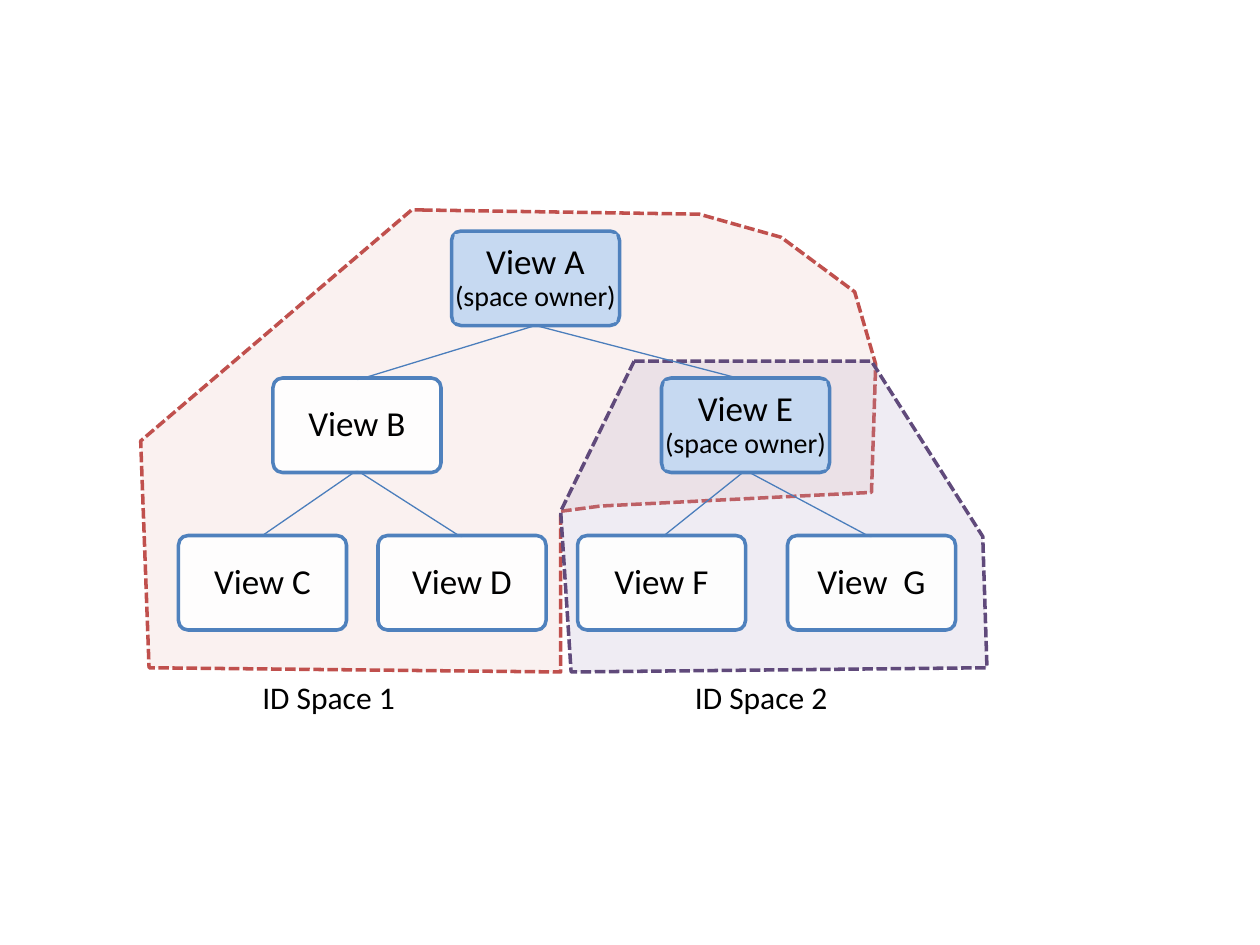
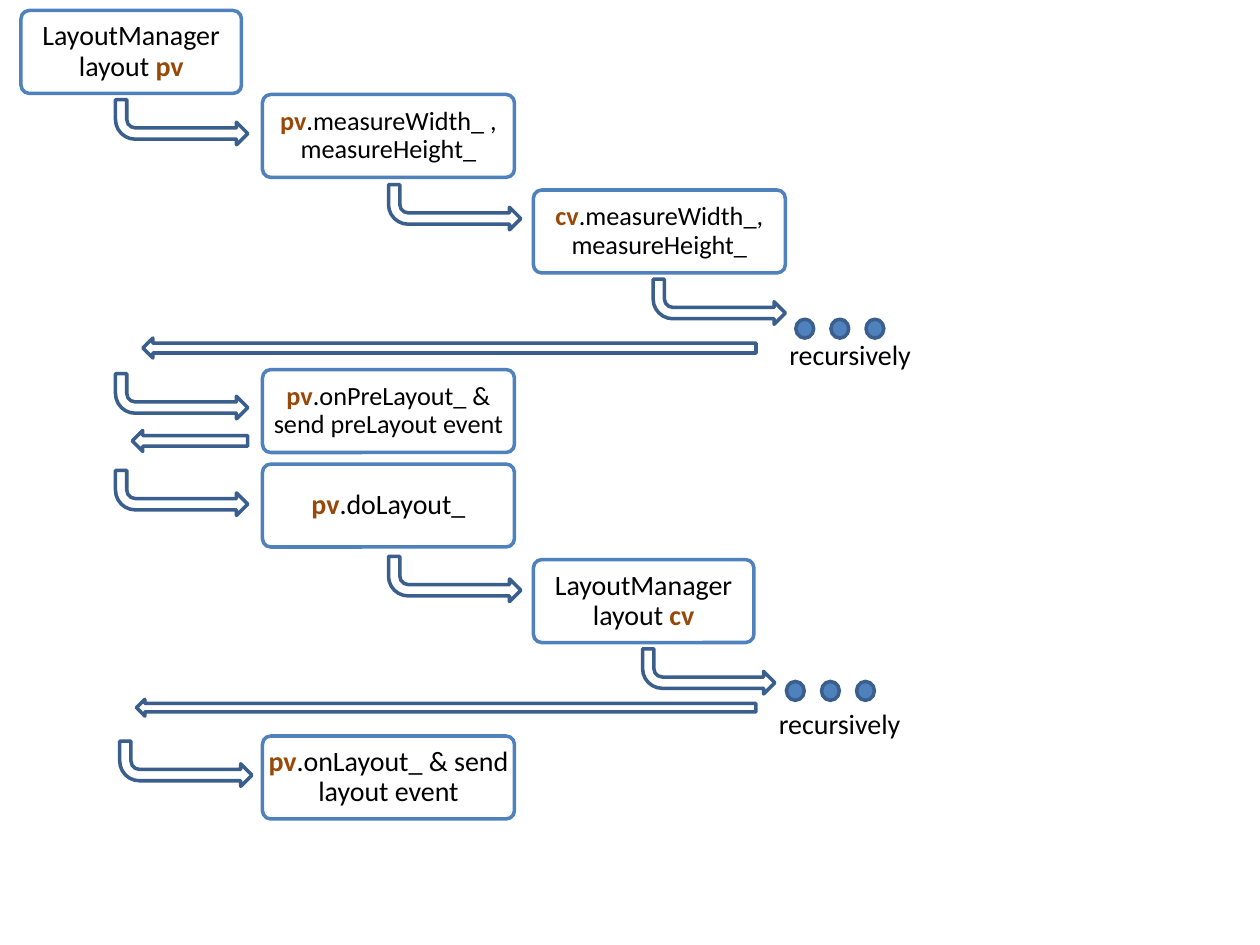
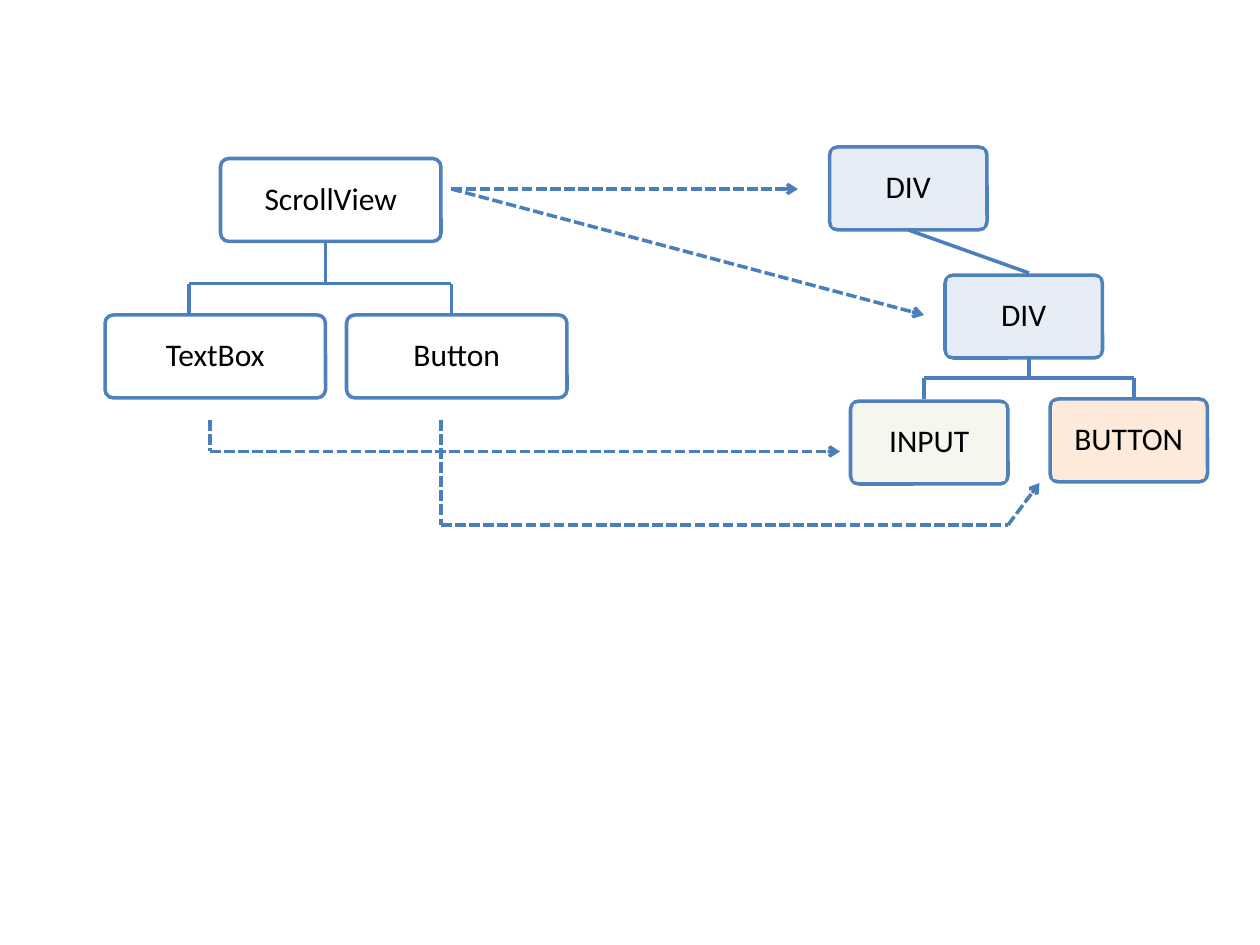
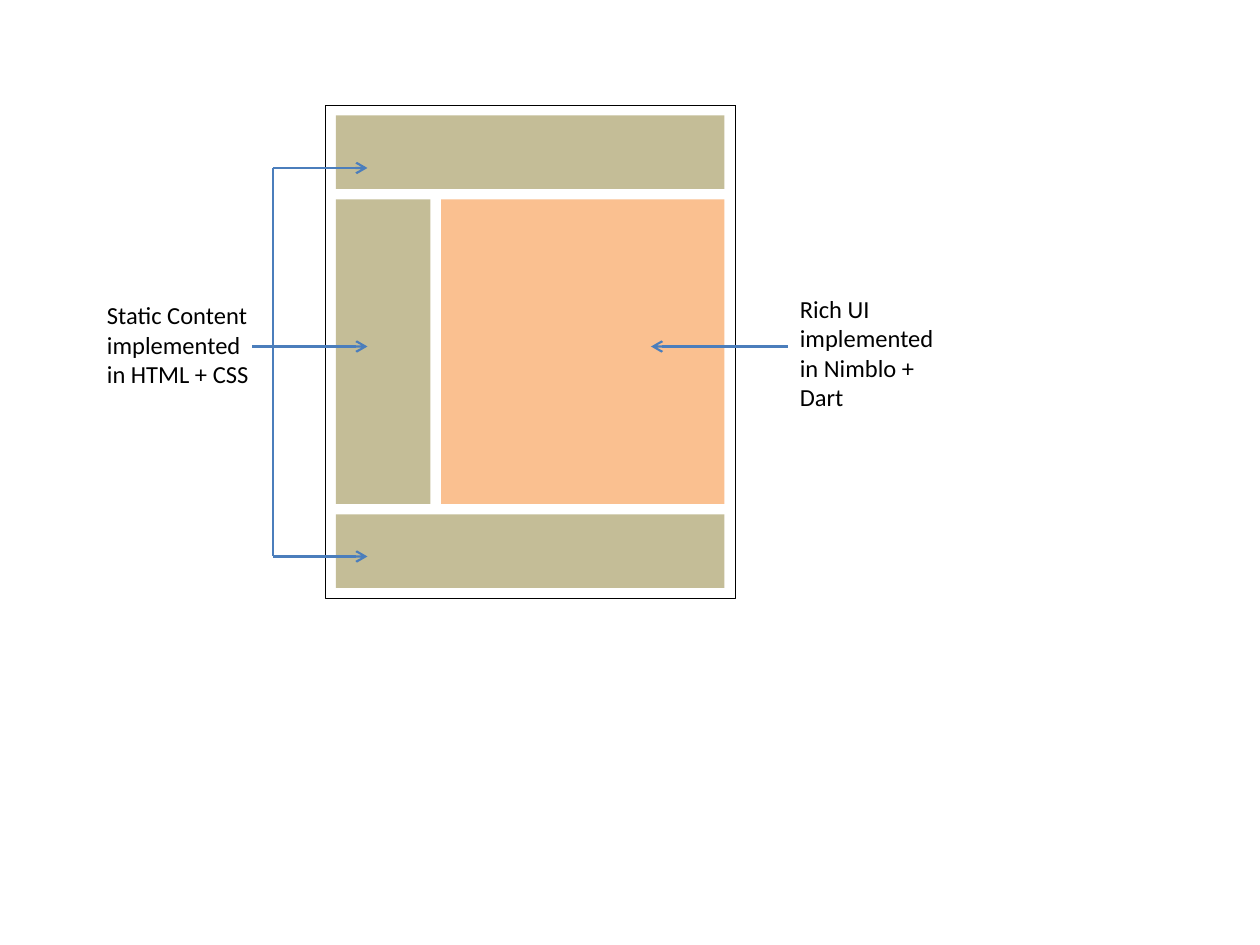
import dataclasses
import typing

import lxml.etree
import pptx
import pptx.dml.color
import pptx.enum.dml
import pptx.enum.shapes
import pptx.enum.text
import pptx.oxml.ns
import pptx.util

# Shared look; all lengths are cells of a 120 by 90 grid
FONT = "Calibri"
BLACK, WHITE = "000000", "FFFFFF"
EDGE, LINK, ARROW_EDGE, ACCENT = "4F81BD", "4B7EBC", "3A5F8C", "984807"
OWNER, PALE_BLUE, PALE_GREEN, PALE_ORANGE = "C6D9F1", "E6EDF6", "F6F5EE", "FDEADA"
STATIC, RICH = "C4BD97", "FAC090"
COLUMNS = 120
LABEL_INSET = 0.3
BOX_HEIGHT = 7.9

SHAPE = pptx.enum.shapes.MSO_SHAPE
DASH = pptx.enum.dml.MSO_LINE.SQUARE_DOT
DOT = pptx.enum.dml.MSO_LINE.ROUND_DOT
Point = tuple[float, float]

deck = pptx.Presentation()
deck.slide_width = pptx.util.Inches(10)
deck.slide_height = pptx.util.Inches(7.5)


@dataclasses.dataclass
class Span:
    text: str
    size: float
    color: str = BLACK
    bold: bool = False
    new_line: bool = False


@dataclasses.dataclass
class Box:
    left: float
    top: float
    width: float
    height: float
    spans: list[Span]
    fill: str = WHITE


@dataclasses.dataclass
class Region:
    points: list[Point]
    fill: str
    edge: str


def cells(*counts: float) -> list[int]:
    return [round(count * deck.slide_width / COLUMNS) for count in counts]


def rgb(color: str) -> pptx.dml.color.RGBColor:
    return pptx.dml.color.RGBColor.from_string(color)


def new_page() -> typing.Any:
    return deck.slides.add_slide(deck.slide_layouts[6])


def paint(shape: typing.Any, color: str, opacity: int = 100) -> None:
    shape.fill.solid()
    shape.fill.fore_color.rgb = rgb(color)
    if opacity < 100:
        tone = shape.fill._xPr.find(".//" + pptx.oxml.ns.qn("a:srgbClr"))
        alpha = lxml.etree.SubElement(tone, pptx.oxml.ns.qn("a:alpha"))
        alpha.set("val", str(opacity * 1000))


def outline(shape: typing.Any, color: str, width: float, dash: typing.Any = None) -> None:
    shape.line.color.rgb = rgb(color)
    shape.line.width = pptx.util.Pt(width)
    if dash is not None:
        shape.line.dash_style = dash


def style_span(span: typing.Any, size: float, color: str = BLACK, bold: bool = False) -> None:
    span.font.name = FONT
    span.font.size = pptx.util.Pt(size)
    span.font.color.rgb = rgb(color)
    span.font.bold = bold


def add_preset(parent: typing.Any, kind: typing.Any, left: float, top: float,
               width: float, height: float) -> typing.Any:
    shape = parent.shapes.add_shape(kind, *cells(left, top, width, height))
    shape.shadow.inherit = False
    shape.fill.background()
    shape.line.fill.background()
    return shape


def add_box(page: typing.Any, box: Box) -> None:
    """A rounded frame grouped with its centred label."""
    group = page.shapes.add_group_shape()
    frame = add_preset(group, SHAPE.ROUNDED_RECTANGLE, box.left, box.top, box.width, box.height)
    frame.adjustments[0] = 0.1
    paint(frame, box.fill, 90 if box.fill == WHITE else 100)
    outline(frame, EDGE, 2)

    label = group.shapes.add_textbox(*cells(
        box.left + LABEL_INSET, box.top + LABEL_INSET,
        box.width - 2 * LABEL_INSET, box.height - 2 * LABEL_INSET))
    if box.fill != WHITE:
        paint(label, box.fill)
    text = label.text_frame
    text.word_wrap = True
    text.vertical_anchor = pptx.enum.text.MSO_ANCHOR.MIDDLE
    text.margin_left = text.margin_right = 0
    text.margin_top = text.margin_bottom = pptx.util.Inches(0.1)
    para = text.paragraphs[0]
    para.alignment = pptx.enum.text.PP_ALIGN.CENTER
    para.line_spacing = 0.9
    for span in box.spans:
        if span.new_line:
            para.add_line_break()
        run = para.add_run()
        run.text = span.text
        style_span(run, span.size, span.color, span.bold)


def add_caption(page: typing.Any, text: str, left: float, top: float,
                width: float, height: float, size: float) -> None:
    caption = page.shapes.add_textbox(*cells(left, top, width, height))
    caption.text_frame.word_wrap = False
    caption.text_frame.auto_size = pptx.enum.text.MSO_AUTO_SIZE.SHAPE_TO_FIT_TEXT
    para = caption.text_frame.paragraphs[0]
    para.text = text
    for span in para.runs:
        style_span(span, size)


def add_line(page: typing.Any, start: Point, end: Point, width: float,
             dash: typing.Any = None, arrow: bool = False) -> None:
    line = page.shapes.add_connector(
        pptx.enum.shapes.MSO_CONNECTOR.STRAIGHT, *cells(*start, *end))
    outline(line, LINK, width, dash)
    if arrow:
        tail = lxml.etree.SubElement(line.line._get_or_add_ln(), pptx.oxml.ns.qn("a:tailEnd"))
        tail.set("type", "arrow")
    lxml.etree.SubElement(line._element.spPr, pptx.oxml.ns.qn("a:effectLst"))


def add_region(page: typing.Any, region: Region) -> None:
    first, *others = [cells(*point) for point in region.points]
    builder = page.shapes.build_freeform(*first)
    builder.add_line_segments(others, close=True)
    shape = builder.convert_to_shape()
    shape.shadow.inherit = False
    paint(shape, region.fill, 20)
    outline(shape, region.edge, 2, DASH)


def add_fork(page: typing.Any, stem: Point, bar: float,
             children: Point, bottom: float) -> None:
    """A stem down to a bar, with a branch from each end of the bar."""
    for child in children:
        add_line(page, (child, bottom), (child, bar), 2)
    add_line(page, (stem[0], bar), stem, 2)
    add_line(page, (children[0], bar), (children[1], bar), 2)


def add_call_arrow(page: typing.Any, left: float, top: float) -> None:
    arrow = add_preset(page, SHAPE.BENT_ARROW, left, top, 12.6, 4.3)
    arrow._element.spPr.find(pptx.oxml.ns.qn("a:xfrm")).set("flipV", "1")
    outline(arrow, ARROW_EDGE, 2)


def add_recursion(page: typing.Any, left: float, top: float, caption: Point) -> None:
    """Three dots and the word below them."""
    for index in range(3):
        dot = add_preset(page, SHAPE.OVAL, left + index * 3.34, top, 1.7, 1.8)
        paint(dot, EDGE)
        outline(dot, ARROW_EDGE, 2)
    add_caption(page, "recursively", *caption, 14.2, 4.4, 16)


def draw_id_spaces() -> None:
    page = new_page()
    regions = [
        Region([(40.2, 20), (66.6, 20.4), (74.4, 22.6), (81.4, 27.8), (83.4, 34.7),
                (83, 46.9), (57.2, 48.2), (53.4, 48.7), (53.4, 64), (14.2, 63.6),
                (13.4, 42), (39.2, 20)], "E6B9B8", "C0504D"),
        Region([(60.4, 34.4), (83, 34.4), (93.6, 51.1), (94, 63.6), (54.4, 64),
                (53.4, 48.7)], "B3A2C7", "604A7B"),
    ]
    for region in regions:
        add_region(page, region)

    # Parent's lower middle, then the upper middles of its children
    branches = [((34, 44.8), (25, 36.5 + 14.5), (44, 51.2)),
                ((71, 44.8), (63, 51.2), (83, 51.2)),
                ((51, 31), (34, 36.2), (71, 36.2))]
    for parent, *children in branches:
        for child in children:
            add_line(page, parent, child, 0.75)

    views = [("View A", 43, 22, True), ("View B", 26, 36, False), ("View E", 63, 36, True),
             ("View C", 17, 51, False), ("View D", 36, 51, False),
             ("View F", 55, 51, False), ("View  G", 75, 51, False)]
    for name, left, top, owner in views:
        spans = [Span(name, 20)]
        if owner:
            spans.append(Span("(space owner)", 16, new_line=True))
        add_box(page, Box(left, top, 16, 9, spans, OWNER if owner else WHITE))

    for text, left in (("ID Space 1", 23.8), ("ID Space 2", 65)):
        add_caption(page, text, left, 64, 15.2, 4.8, 18)


def draw_layout_calls() -> None:
    page = new_page()

    def manager(view: str) -> list[Span]:
        return [Span("LayoutManager layout ", 16), Span(view, 16, ACCENT, True)]

    def call(view: str, action: str, size: float) -> list[Span]:
        return [Span(view, size, ACCENT, True), Span(action, size)]

    steps = [
        (2, 1, 21, manager("pv")),
        (25, 9, 24, call("pv", ".measureWidth_ , measureHeight_", 15)),
        (50.8, 18.1, 24, call("cv", ".measureWidth_, measureHeight_", 15)),
        (25, 35.2, 24, call("pv", ".onPreLayout_ & send preLayout event", 15)),
        (25, 44.2, 24, call("pv", ".doLayout_", 16)),
        (50.8, 53.3, 21, manager("cv")),
        (25, 70.1, 24, call("pv", ".onLayout_ & send layout event", 16)),
    ]
    for left, top, width, spans in steps:
        add_box(page, Box(left, top, width, BOX_HEIGHT, spans))

    # Calls go right, returns go left
    for left, top in [(11, 9.5), (37, 17.6), (62.2, 26.6), (11, 35.6),
                      (11, 44.8), (37, 53), (61.2, 61.8), (11.4, 70.6)]:
        add_call_arrow(page, left, top)
    for place in [(13.6, 32.2, 58.4, 1.9), (12.6, 41, 11, 2), (13, 66.6, 59, 1.6)]:
        outline(add_preset(page, SHAPE.LEFT_ARROW, *place), ARROW_EDGE, 2)

    add_recursion(page, 75.8, 30.4, (74, 31.6))
    add_recursion(page, 74.9, 64.9, (73, 66.7))


def draw_view_elements() -> None:
    page = new_page()
    nodes = [
        ("ScrollView", 21, 15.1, 21, WHITE), ("Button", 33, 30, 21, WHITE),
        ("TextBox", 10, 30, 21, WHITE), ("DIV", 79, 14, 15, PALE_BLUE),
        ("DIV", 90, 26.2, 15, PALE_BLUE), ("INPUT", 81, 38.2, 15, PALE_GREEN),
        ("BUTTON", 100, 38, 15, PALE_ORANGE),
    ]
    for name, left, top, width, fill in nodes:
        add_box(page, Box(left, top, width, BOX_HEIGHT, [Span(name, 18)], fill))

    # Dashed routes from views to elements; the last leg has the arrowhead
    routes = [[(43, 18), (76, 18)], [(43, 18), (88, 30)],
              [(20, 40), (20, 43), (80, 43)],
              [(42, 40), (42, 50), (96, 50), (99, 46)]]
    for route in routes:
        for start, end in zip(route, route[1:]):
            add_line(page, start, end, 2, DASH, arrow=end == route[-1])

    # Solid trees
    add_fork(page, (31, 23), 27, (18, 43), 30)
    add_fork(page, (98, 34), 36, (88, 108), 38)
    add_line(page, (98, 26), (86.5, 21.9), 2)


def draw_page_areas() -> None:
    page = new_page()
    frame = add_preset(page, SHAPE.RECTANGLE, 31, 10, 39, 47)
    paint(frame, WHITE)
    outline(frame, BLACK, 0.25, DOT)
    for *place, color in [(32, 11, 37, 7, STATIC), (32, 19, 9, 29, STATIC),
                          (32, 49, 37, 7, STATIC), (42, 19, 27, 29, RICH)]:
        paint(add_preset(page, SHAPE.RECTANGLE, *place), color)

    add_caption(page, "Static Content\vimplemented\vin HTML + CSS", 9, 28, 16, 9.7, 14)
    add_caption(page, "Rich UI\vimplemented\vin Nimblo + Dart", 75, 27.4, 17, 9.7, 14)

    # Pointers from the captions to the areas
    add_line(page, (26, 16), (26, 53), 1.25)
    for start, end, row in [(26, 35, 16), (26, 35, 53), (24, 35, 33), (75, 62, 33)]:
        add_line(page, (start, row), (end, row), 1.25, arrow=True)


draw_id_spaces()
draw_layout_calls()
draw_view_elements()
draw_page_areas()
deck.save("out.pptx")
